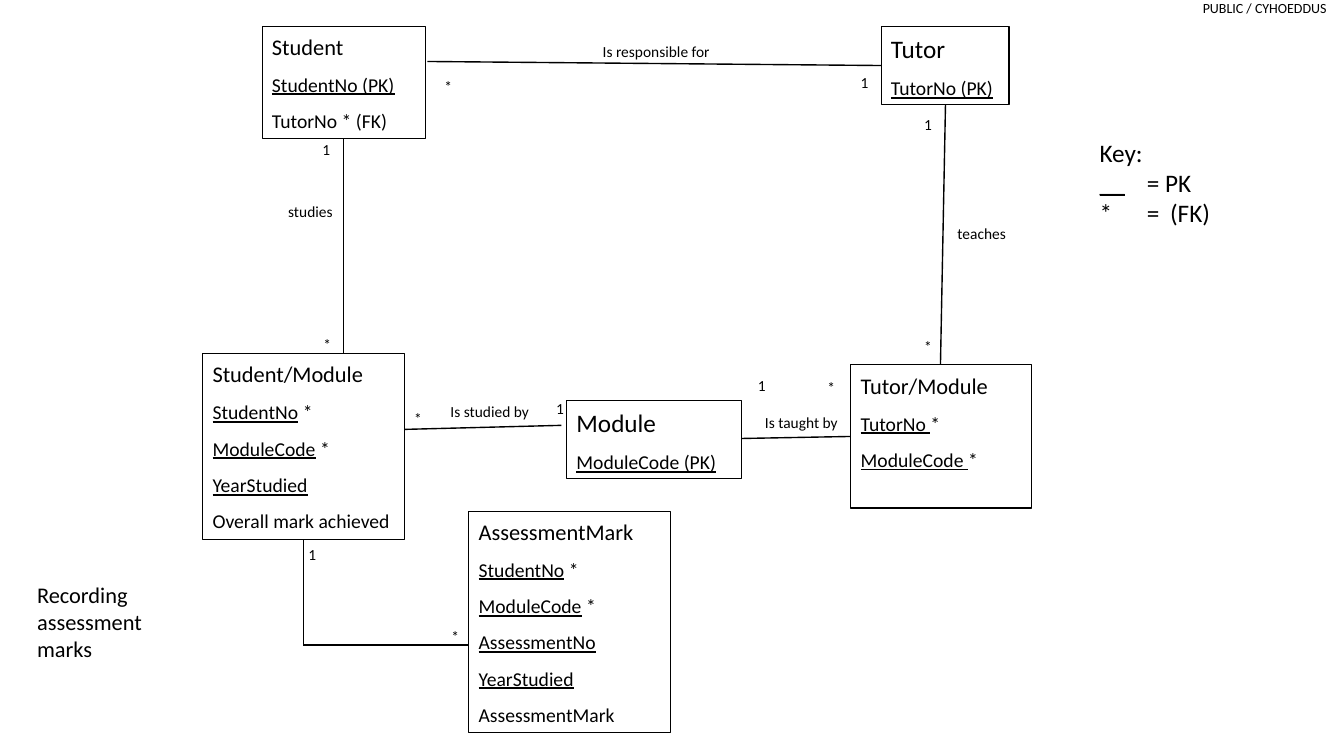
from dataclasses import dataclass

from lxml import etree
from pptx import Presentation
from pptx import util as u
from pptx.dml.color import RGBColor
from pptx.enum import shapes, text
from pptx.oxml import ns

COLOURS = {"ink": "000000", "paper": "FFFFFF"}
FONT = "Calibri"
COLUMNS, ROWS = 133.33, 75
SLIDE_WIDTH, SLIDE_HEIGHT = u.Inches(13.33), u.Inches(7.5)
MARK_SIDE = 3
KEY_TABS = (0.47, 0.7)


@dataclass(frozen=True)
class Area:
    left: float
    top: float
    width: float
    height: float


@dataclass(frozen=True)
class Field:
    underlined: str = ""
    plain: str = ""


@dataclass(frozen=True)
class Entity:
    name: str
    size: int
    area: Area
    fields: tuple[Field, ...]


@dataclass(frozen=True)
class Link:
    start: tuple[float, float]
    end: tuple[float, float]


@dataclass(frozen=True)
class Label:
    wording: str
    area: Area


@dataclass(frozen=True)
class Mark:
    symbol: str
    left: float
    top: float


ENTITIES = (
    Entity("Student", 16, Area(26, 2.6, 16.2, 11.1),
           (Field("StudentNo (PK)"), Field(plain="TutorNo * (FK)"))),
    Entity("Module", 18, Area(56.2, 39.7, 17.4, 7.8), (Field("ModuleCode (PK)"),)),
    Entity("Tutor", 18, Area(87.4, 2.6, 12.7, 7.8), (Field("TutorNo (PK)"),)),
    Entity("Student/Module", 16, Area(20.1, 35.1, 20, 18.4),
           (Field("StudentNo", " *"), Field("ModuleCode", " *"),
            Field("YearStudied"), Field(plain="Overall mark achieved"))),
    Entity("Tutor/Module", 16, Area(84.4, 36.2, 17.9, 14.2),
           (Field("TutorNo ", "*"), Field("ModuleCode ", "*"))),
    Entity("AssessmentMark", 16, Area(46.5, 50.7, 20, 22),
           (Field("StudentNo", " *"), Field("ModuleCode", " *"),
            Field("AssessmentNo"), Field("YearStudied"),
            Field(plain="AssessmentMark"))),
)

LINKS = (
    Link((42.4, 6.1), (87.4, 6.5)),
    Link((73.6, 43.5), (84.4, 43.3)),
    Link((34.1, 13.6), (34.1, 35.1)),
    Link((40.1, 42.6), (55.7, 42.2)),
    Link((93.8, 10.3), (93.3, 36.2)),
    Link((30.1, 53.5), (30.1, 64)),
    Link((46.5, 64), (30.1, 64)),
)

LABELS = (
    Label("Is responsible for", Area(58.8, 3.6, 13.1, 4.2)),
    Label("teaches", Area(94, 21.6, 7.8, 4.2)),
    Label("studies", Area(27.6, 19.4, 7.8, 4.2)),
    Label("Is taught by", Area(74.9, 40.4, 9.5, 2.9)),
    Label("Is studied by", Area(43.7, 39.3, 9.8, 2.9)),
)

MARKS = (
    Mark("*", 43.1, 7), Mark("1", 84.4, 6.6),
    Mark("1", 31, 13.3), Mark("*", 31.1, 32.6),
    Mark("*", 40.1, 40), Mark("1", 54.2, 39),
    Mark("1", 74.2, 36.7), Mark("*", 81.1, 36.9),
    Mark("1", 90.7, 10.8), Mark("*", 90.7, 32.8),
    Mark("1", 29.6, 53.5), Mark("*", 43.8, 61.6),
)

KEY = (Field(plain="Key:"), Field("__\t", "= PK"), Field(plain="*\t=\t(FK)"))


def across(columns: float) -> int:
    return round(SLIDE_WIDTH * columns / COLUMNS)


def down(rows: float) -> int:
    return round(SLIDE_HEIGHT * rows / ROWS)


def place(area: Area) -> tuple[int, int, int, int]:
    return across(area.left), down(area.top), across(area.width), down(area.height)


def colour(name: str) -> RGBColor:
    return RGBColor.from_string(COLOURS[name])


def add_run(paragraph, wording: str, size: int, underlined: bool = False) -> None:
    run = paragraph.add_run()
    run.text = wording
    run.font.name = FONT
    run.font.size = u.Pt(size)
    run.font.underline = underlined
    run.font.color.rgb = colour("ink")


def add_field(paragraph, field: Field, size: int) -> None:
    if field.underlined:
        add_run(paragraph, field.underlined, size, True)
    if field.plain:
        add_run(paragraph, field.plain, size)


def space_out(paragraph) -> None:
    paragraph.alignment = text.PP_ALIGN.LEFT
    paragraph.line_spacing = 1.07
    paragraph.space_after = u.Pt(8)


def add_box(slide, area: Area):
    frame = slide.shapes.add_textbox(*place(area)).text_frame
    frame.word_wrap = True
    return frame


def add_label(slide, label: Label) -> None:
    paragraph = add_box(slide, label.area).paragraphs[0]
    space_out(paragraph)
    add_run(paragraph, label.wording, 11)


def add_entity(slide, entity: Entity) -> None:
    shape = slide.shapes.add_shape(shapes.MSO_SHAPE.RECTANGLE, *place(entity.area))
    shape.shadow.inherit = False
    shape.fill.solid()
    shape.fill.fore_color.rgb = colour("paper")
    shape.line.color.rgb = colour("ink")
    shape.line.width = u.Pt(0.75)
    frame = shape.text_frame
    frame.word_wrap = True
    frame.vertical_anchor = text.MSO_ANCHOR.TOP
    title = frame.paragraphs[0]
    space_out(title)
    add_run(title, entity.name, entity.size)
    for field in entity.fields:
        paragraph = frame.add_paragraph()
        space_out(paragraph)
        add_field(paragraph, field, 14)


def add_link(slide, link: Link) -> None:
    (start_x, start_y), (end_x, end_y) = link.start, link.end
    connector = slide.shapes.add_connector(
        shapes.MSO_CONNECTOR.STRAIGHT,
        across(start_x), down(start_y), across(end_x), down(end_y))
    connector.line.color.rgb = colour("ink")
    connector.line.width = u.Pt(1)
    etree.SubElement(connector._element.spPr, ns.qn("a:effectLst"))


def add_key(slide) -> None:
    frame = add_box(slide, Area(108.1, 13.1, 14.9, 10.1))
    for index, field in enumerate(KEY):
        paragraph = frame.add_paragraph() if index else frame.paragraphs[0]
        tabs = etree.SubElement(paragraph._p.get_or_add_pPr(), ns.qn("a:tabLst"))
        for position in KEY_TABS:
            etree.SubElement(tabs, ns.qn("a:tab"), pos=str(u.Inches(position)), algn="l")
        add_field(paragraph, field, 18)


def add_marking(slide) -> None:
    frame = add_box(slide, Area(119, 0, 12.6, 1.7))
    frame.margin_left = frame.margin_right = frame.margin_top = frame.margin_bottom = 0
    frame.word_wrap = False
    frame.paragraphs[0].alignment = text.PP_ALIGN.RIGHT
    add_run(frame.paragraphs[0], "PUBLIC / CYHOEDDUS", 10)


def main() -> None:
    presentation = Presentation()
    presentation.slide_width, presentation.slide_height = SLIDE_WIDTH, SLIDE_HEIGHT
    slide = presentation.slides.add_slide(presentation.slide_layouts[6])
    add_marking(slide)
    for link in LINKS:
        add_link(slide, link)
    for entity in ENTITIES:
        add_entity(slide, entity)
    for label in LABELS:
        add_label(slide, label)
    for mark in MARKS:
        add_label(slide, Label(mark.symbol, Area(mark.left, mark.top, MARK_SIDE, MARK_SIDE)))
    add_key(slide)
    caption = add_box(slide, Area(2.7, 57.2, 15.8, 9.1))
    add_run(caption.paragraphs[0], "Recording assessment marks", 16)
    presentation.save("out.pptx")


if __name__ == "__main__":
    main()
